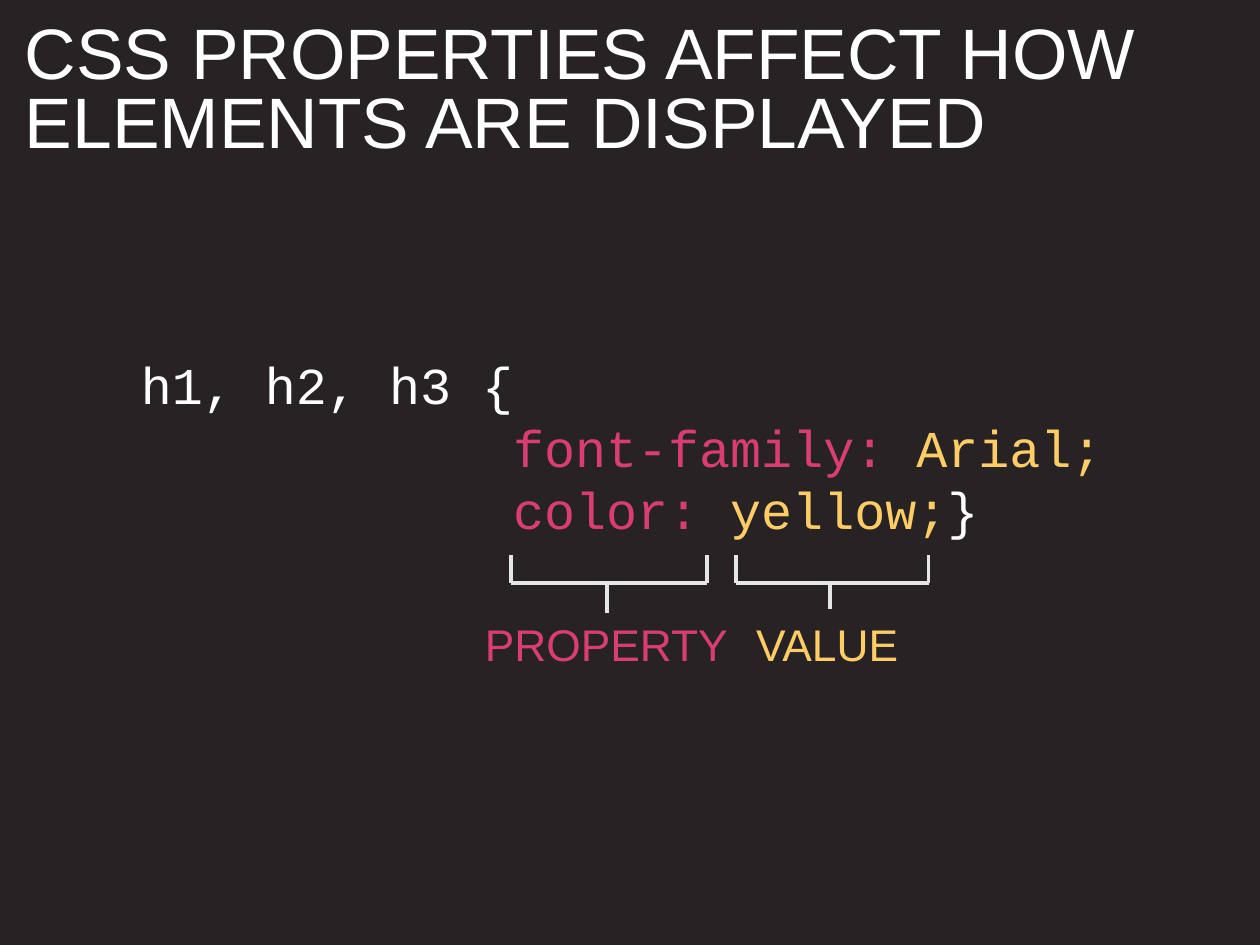
"""Builds a slide on the property and value parts of a CSS rule."""
from dataclasses import dataclass

from lxml import etree
from pptx import Presentation
from pptx import util as u
from pptx.dml.color import RGBColor
from pptx.enum import shapes, text
from pptx.oxml.ns import qn


@dataclass(frozen=True)
class Theme:
    """Colours, fonts and type sizes of the slide."""
    background: str = "272224"
    plain: str = "FFFFFF"
    property: str = "DA3D74"
    value: str = "FFCC66"
    bracket: str = "E6E6E6"
    sans: str = "Arial"
    mono: str = "Courier New"
    title_size: int = 58
    code_size: int = 42
    label_size: int = 36
    line_width: int = 3


@dataclass(frozen=True)
class Box:
    """A rectangle in hundredths of the slide's width and height."""
    left: float
    top: float
    width: float
    height: float


@dataclass(frozen=True)
class Bracket:
    """A bracket under a piece of code, with its label."""
    label: str
    color: str
    left: float
    right: float
    stem: float
    stem_end: float
    label_center: float


THEME = Theme()
WIDTH, HEIGHT = u.Inches(14.22), u.Inches(10.66)
TITLE_BOX = Box(1.97, 2.63, 95.71, 19.14)
CODE_BOX = Box(11.18, 36.96, 77.64, 20.54)
BRACKET_TOP, BRACKET_BAR = 58.75, 61.7
LABEL_TOP, LABEL_WIDTH, LABEL_HEIGHT = 64.8, 20, 6.66
INDENT = " " * 12
CODE = [
    [("h1, h2, h3 {", THEME.plain)],
    [(INDENT + "font-family: ", THEME.property), ("Arial;", THEME.value)],
    [(INDENT + "color: ", THEME.property), ("yellow;", THEME.value), ("}", THEME.plain)],
]
BRACKETS = [
    Bracket("PROPERTY", THEME.property, 40.58, 56.12, 48.17, 64.82, 48.13),
    Bracket("VALUE", THEME.value, 58.44, 73.7, 65.85, 64.45, 65.65),
]


def col(share: float) -> int:
    """Turn hundredths of the width into a length."""
    return round(WIDTH * share / 100)


def row(share: float) -> int:
    """Turn hundredths of the height into a length."""
    return round(HEIGHT * share / 100)


def place(sp, box: Box, anchor=text.MSO_ANCHOR.MIDDLE):
    """Move a text shape to its box and return its text frame without margins."""
    sp.left, sp.top = col(box.left), row(box.top)
    sp.width, sp.height = col(box.width), row(box.height)
    tf = sp.text_frame
    tf.margin_left = tf.margin_top = tf.margin_right = tf.margin_bottom = 0
    tf.word_wrap, tf.auto_size = True, text.MSO_AUTO_SIZE.NONE
    tf.vertical_anchor = anchor
    return tf


def write(p, content: str, *, size: int, font: str, color: str,
          align=text.PP_ALIGN.LEFT, spacing: float = 1.0) -> None:
    """Add a formatted run to a paragraph."""
    p.alignment, p.line_spacing = align, spacing
    r = p.add_run()
    r.text = content
    r.font.size, r.font.name = u.Pt(size), font
    r.font.color.rgb = RGBColor.from_string(color)


def draw_line(slide, x1: float, y1: float, x2: float, y2: float) -> None:
    """Draw one straight stroke of a bracket."""
    line = slide.shapes.add_connector(
        shapes.MSO_CONNECTOR.STRAIGHT, col(x1), row(y1), col(x2), row(y2))
    line.line.color.rgb = RGBColor.from_string(THEME.bracket)
    line.line.width = u.Pt(THEME.line_width)
    etree.SubElement(line._element.spPr, qn("a:effectLst"))


def draw_bracket(slide, b: Bracket) -> None:
    """Draw a bracket and the label below it."""
    for x in (b.left, b.right):
        draw_line(slide, x, BRACKET_TOP, x, BRACKET_BAR)
    draw_line(slide, b.left, BRACKET_BAR, b.right, BRACKET_BAR)
    draw_line(slide, b.stem, BRACKET_BAR, b.stem, b.stem_end)
    box = Box(b.label_center - LABEL_WIDTH / 2, LABEL_TOP, LABEL_WIDTH, LABEL_HEIGHT)
    tf = place(slide.shapes.add_textbox(0, 0, 0, 0), box)
    write(tf.paragraphs[0], b.label, size=THEME.label_size, font=THEME.sans,
          color=b.color, align=text.PP_ALIGN.CENTER)


def draw_code(slide) -> None:
    """Write the coloured CSS rule."""
    tf = place(slide.shapes.add_textbox(0, 0, 0, 0), CODE_BOX)
    for i, pieces in enumerate(CODE):
        p = tf.add_paragraph() if i else tf.paragraphs[0]
        for content, color in pieces:
            write(p, content, size=THEME.code_size, font=THEME.mono, color=color)


def main() -> None:
    """Build and save the slide."""
    prs = Presentation()
    prs.slide_width, prs.slide_height = WIDTH, HEIGHT
    slide = prs.slides.add_slide(prs.slide_layouts.get_by_name("Title Only"))
    slide.background.fill.solid()
    slide.background.fill.fore_color.rgb = RGBColor.from_string(THEME.background)
    tf = place(slide.shapes.title, TITLE_BOX, text.MSO_ANCHOR.TOP)
    write(tf.paragraphs[0], "CSS PROPERTIES AFFECT HOW ELEMENTS ARE DISPLAYED",
          size=THEME.title_size, font=THEME.sans, color=THEME.plain, spacing=0.8)
    draw_code(slide)
    for b in BRACKETS:
        draw_bracket(slide, b)
    prs.save("out.pptx")


if __name__ == "__main__":
    main()
